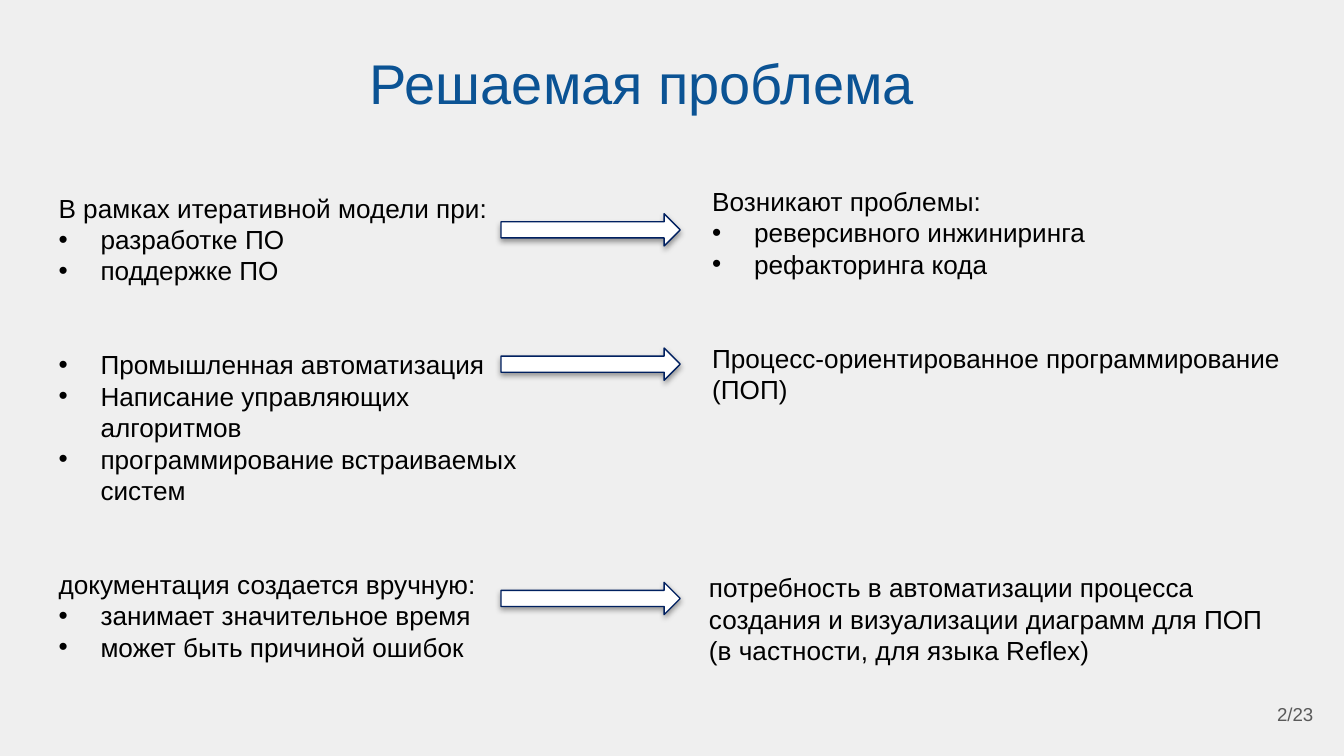
from lxml.etree import SubElement
from pptx import Presentation
from pptx.dml.color import RGBColor
from pptx.enum.shapes import MSO_SHAPE as Shape
from pptx.enum.text import MSO_ANCHOR as Anchor, PP_ALIGN as Align
from pptx.oxml.ns import qn
from pptx.util import Pt

BACKGROUND = RGBColor(0xEF, 0xEF, 0xEF)
TITLE_BLUE = RGBColor(0x0B, 0x53, 0x94)
NAVY = RGBColor(0x00, 0x20, 0x60)
BLACK = RGBColor(0x00, 0x00, 0x00)
WHITE = RGBColor(0xFF, 0xFF, 0xFF)
GRAY = RGBColor(0x59, 0x59, 0x59)

BULLET = "• "  # marks a bulleted line in the texts below
GROUP_GAP = 33.6  # two lines of body text


def add_element(parent, tag, **attributes):
    return SubElement(parent, qn(tag), attributes)


class SlideWriter:
    font_name = "Arial"
    body_size = 14
    bullet_indent = 22.5

    def __init__(self, slide):
        self.slide = slide
        fill = slide.background.fill
        fill.solid()
        fill.fore_color.rgb = BACKGROUND

    def text(self, box, groups, size=body_size, color=BLACK,
             align=Align.LEFT, anchor=Anchor.TOP, insets=(7.2, 3.6)):
        """Write groups of lines, with a gap between the groups."""
        shape = self.slide.shapes.add_textbox(*map(Pt, box))
        frame = shape.text_frame
        side, edge = map(Pt, insets)
        frame_format = {
            "word_wrap": True, "vertical_anchor": anchor,
            "margin_left": side, "margin_right": side,
            "margin_top": edge, "margin_bottom": edge,
        }
        for name, value in frame_format.items():
            setattr(frame, name, value)

        paragraph = None
        for group_number, lines in enumerate(groups):
            for line_number, line in enumerate(lines):
                paragraph = frame.add_paragraph() if paragraph else frame.paragraphs[0]
                paragraph.alignment = align
                if group_number and line_number == 0:
                    paragraph.space_before = Pt(GROUP_GAP)
                if line.startswith(BULLET):
                    self.bullet(paragraph)
                run = paragraph.add_run()
                run.text = line.removeprefix(BULLET)
                font_format = {"name": self.font_name, "size": Pt(size)}
                for name, value in font_format.items():
                    setattr(run.font, name, value)
                run.font.color.rgb = color

    def bullet(self, paragraph):
        properties = paragraph._p.get_or_add_pPr()
        indent = Pt(self.bullet_indent)
        properties.set("marL", str(indent))
        properties.set("indent", str(-indent))
        add_element(properties, "a:buFont", typeface=self.font_name)
        add_element(properties, "a:buChar", char=BULLET.strip())

    def arrow(self, left, top, width, height):
        shape = self.slide.shapes.add_shape(
            Shape.RIGHT_ARROW, *map(Pt, (left, top, width, height)))
        shape.fill.solid()
        shape.fill.fore_color.rgb = WHITE
        shape.line.color.rgb = NAVY
        shape.line.width = Pt(0.75)
        # Soft shadow straight below
        shape.shadow.inherit = False
        effects = shape._element.spPr.find(qn("a:effectLst"))
        shadow = add_element(
            effects, "a:outerShdw", blurRad=str(Pt(3.1)), dist=str(Pt(1.6)),
            dir="5400000", rotWithShape="0")
        color = add_element(shadow, "a:srgbClr", val=str(BLACK))
        add_element(color, "a:alpha", val="38000")


def main():
    presentation = Presentation()
    presentation.slide_width, presentation.slide_height = Pt(720), Pt(405)
    slide = presentation.slides.add_slide(presentation.slide_layouts[6])
    writer = SlideWriter(slide)

    # Title
    writer.text((177, 10, 334, 59), [["Решаемая проблема"]], size=30,
                color=TITLE_BLUE, align=Align.CENTER, anchor=Anchor.BOTTOM,
                insets=(7.2, 7.2))

    # Left column: circumstances
    writer.text((24.3, 99.3, 268, 278.6), [
        ["В рамках итеративной модели при:",
         "• разработке ПО",
         "• поддержке ПО"],
        ["• Промышленная автоматизация",
         "• Написание управляющих алгоритмов",
         "• программирование встраиваемых систем"],
        ["документация создается вручную:",
         "• занимает значительное время",
         "• может быть причиной ошибок"],
    ])

    # Right column: consequences
    writer.text((374.4, 95.7, 320, 143.3), [
        ["Возникают проблемы:",
         "• реверсивного инжиниринга",
         "• рефакторинга кода"],
        ["Процесс-ориентированное программирование (ПОП)"],
    ])
    writer.text((372.7, 302.7, 323.3, 74.9), [
        ["потребность в автоматизации процесса создания и визуализации "
         "диаграмм для ПОП (в частности, для языка Reflex)"],
    ])

    # Arrows between the columns
    for top in (114.5, 186.5, 312):
        writer.arrow(268.4, top, 96, 17.3)

    # Page number
    writer.text((667.4, 367.2, 43.2, 31), [["2/23"]], size=10, color=GRAY,
                align=Align.RIGHT, anchor=Anchor.MIDDLE, insets=(7.2, 7.2))

    presentation.save("out.pptx")


if __name__ == "__main__":
    main()
